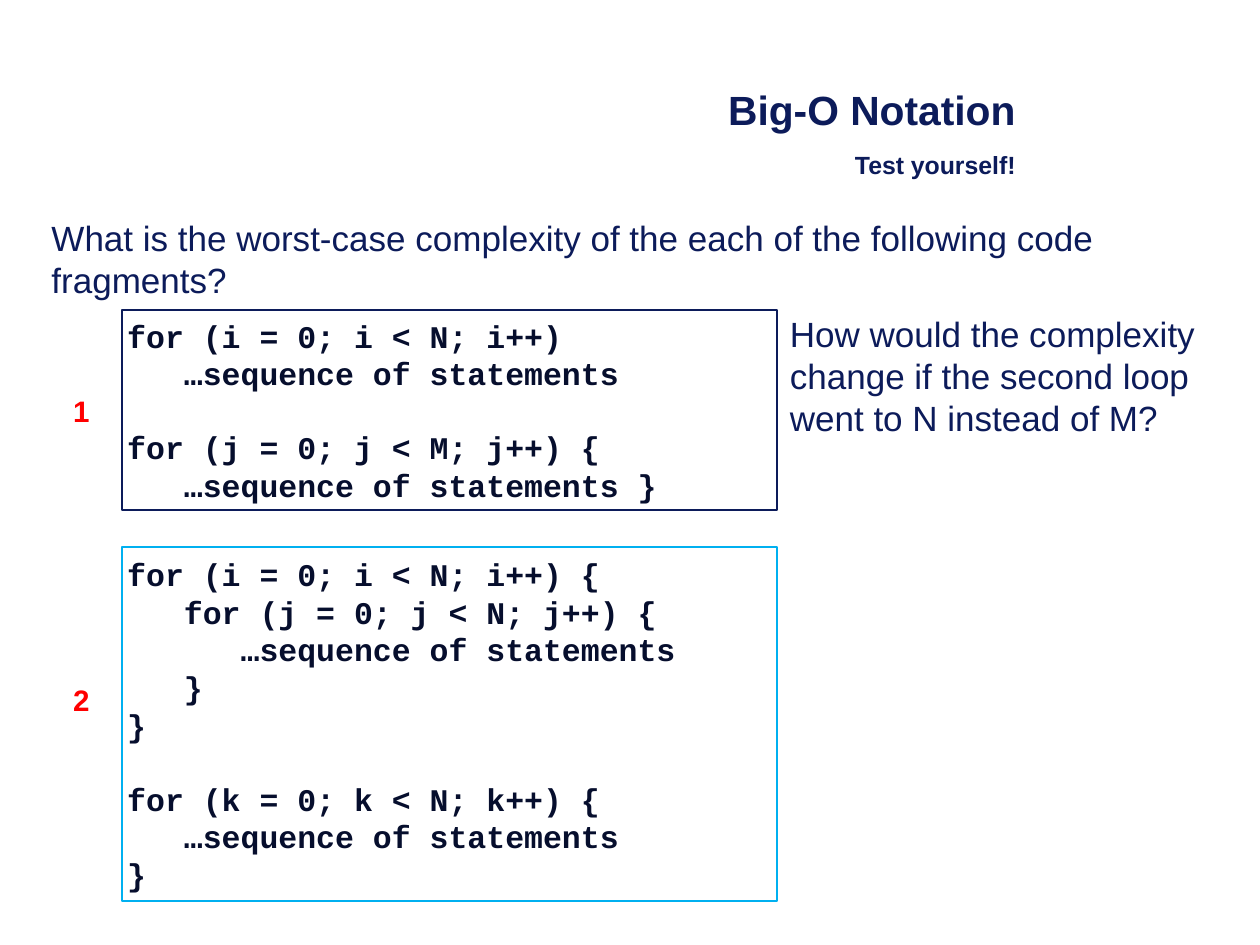
import pptx
import pptx.util
import pptx.dml.color
import pptx.enum.shapes
import pptx.enum.text
from pptx.util import Inches

COLORS = {"navy": "0C1B5A", "code": "060E2D", "number": "FF0000", "cyan": "00B0F0"}
CODE_LINE_HEIGHT = 20.4

SEQUENTIAL_LOOPS = [
    ["for (i = 0; i < N; i++)",
     "   …sequence of statements"],
    ["for (j = 0; j < M; j++) {",
     "   …sequence of statements }"],
]
NESTED_LOOPS = [
    ["for (i = 0; i < N; i++) {",
     "   for (j = 0; j < N; j++) {",
     "      …sequence of statements",
     "   }",
     "}"],
    ["for (k = 0; k < N; k++) {",
     "   …sequence of statements",
     "}"],
]


def rgb(name):
    """Return the named colour."""
    return pptx.dml.color.RGBColor.from_string(COLORS[name])


def add_run(paragraph, wording, size, color, bold=False, face="Arial"):
    """Append one formatted run to a paragraph."""
    run = paragraph.add_run()
    run.text = wording
    run.font.name = face
    run.font.size = pptx.util.Pt(size)
    run.font.bold = bold
    run.font.color.rgb = rgb(color)


def set_margins(frame, inset):
    """Give a text frame the same inset on every side."""
    frame.margin_left = frame.margin_right = Inches(inset)
    frame.margin_top = frame.margin_bottom = Inches(inset)


def add_heading(slide):
    """Place and fill the title with its smaller second line."""
    heading = slide.shapes.title
    heading.left, heading.top = Inches(0.31), Inches(0.62)
    heading.width, heading.height = Inches(7.94), Inches(0.88)
    frame = heading.text_frame
    frame.auto_size = pptx.enum.text.MSO_AUTO_SIZE.NONE
    frame.vertical_anchor = pptx.enum.text.MSO_ANCHOR.MIDDLE
    paragraph = frame.paragraphs[0]
    paragraph.alignment = pptx.enum.text.PP_ALIGN.RIGHT
    add_run(paragraph, "Big-O Notation ", 23.3, "navy", True)
    paragraph.add_line_break()
    add_run(paragraph, "Test yourself!", 14.2, "navy", True)
    add_run(paragraph, " ", 23.3, "navy", True)


def add_label(slide, wording, left, top, width, height, size, color, bold=False):
    """Add a wrapped text box and return its frame."""
    label = slide.shapes.add_textbox(
        Inches(left), Inches(top), Inches(width), Inches(height))
    frame = label.text_frame
    frame.word_wrap = True
    add_run(frame.paragraphs[0], wording, size, color, bold)
    return frame


def add_fragment(slide, number, number_top, stanzas, top, height, border):
    """Add a numbered, outlined code fragment with a gap between stanzas."""
    number_frame = add_label(
        slide, number, 0.53, number_top, 0.35, 0.38, 16.9, "number", True)
    set_margins(number_frame, 0.05)

    fragment = slide.shapes.add_shape(
        pptx.enum.shapes.MSO_SHAPE.RECTANGLE,
        Inches(0.97), Inches(top), Inches(5.2), Inches(height))
    fragment.shadow.inherit = False
    fragment.fill.background()
    fragment.line.color.rgb = rgb(border)
    fragment.line.width = pptx.util.Pt(1)
    frame = fragment.text_frame
    frame.word_wrap = True
    frame.vertical_anchor = pptx.enum.text.MSO_ANCHOR.MIDDLE
    set_margins(frame, 0.04)
    for stanza_index, stanza in enumerate(stanzas):
        for line_index, code in enumerate(stanza):
            first = stanza_index == line_index == 0
            paragraph = frame.paragraphs[0] if first else frame.add_paragraph()
            paragraph.alignment = pptx.enum.text.PP_ALIGN.LEFT
            if stanza_index and not line_index:
                paragraph.space_before = pptx.util.Pt(CODE_LINE_HEIGHT)
            add_run(paragraph, code, 18, "code", True, "Courier New")


def main():
    """Build and save the slide."""
    deck = pptx.Presentation()
    deck.slide_width, deck.slide_height = Inches(10), Inches(7.5)
    slide = deck.slides.add_slide(deck.slide_layouts.get_by_name("Title Only"))
    add_heading(slide)
    add_label(
        slide,
        "What is the worst-case complexity of the each of the following code fragments?",
        0.31, 1.67, 9.38, 0.48, 20, "navy")
    add_fragment(slide, "1", 3.07, SEQUENTIAL_LOOPS, 2.46, 1.59, "navy")
    add_fragment(slide, "2", 5.36, NESTED_LOOPS, 4.34, 2.81, "cyan")
    add_label(
        slide,
        "How would the complexity change if the second loop went to N instead of M?",
        6.17, 2.43, 3.52, 1.15, 20, "navy")
    deck.save("out.pptx")


if __name__ == "__main__":
    main()
